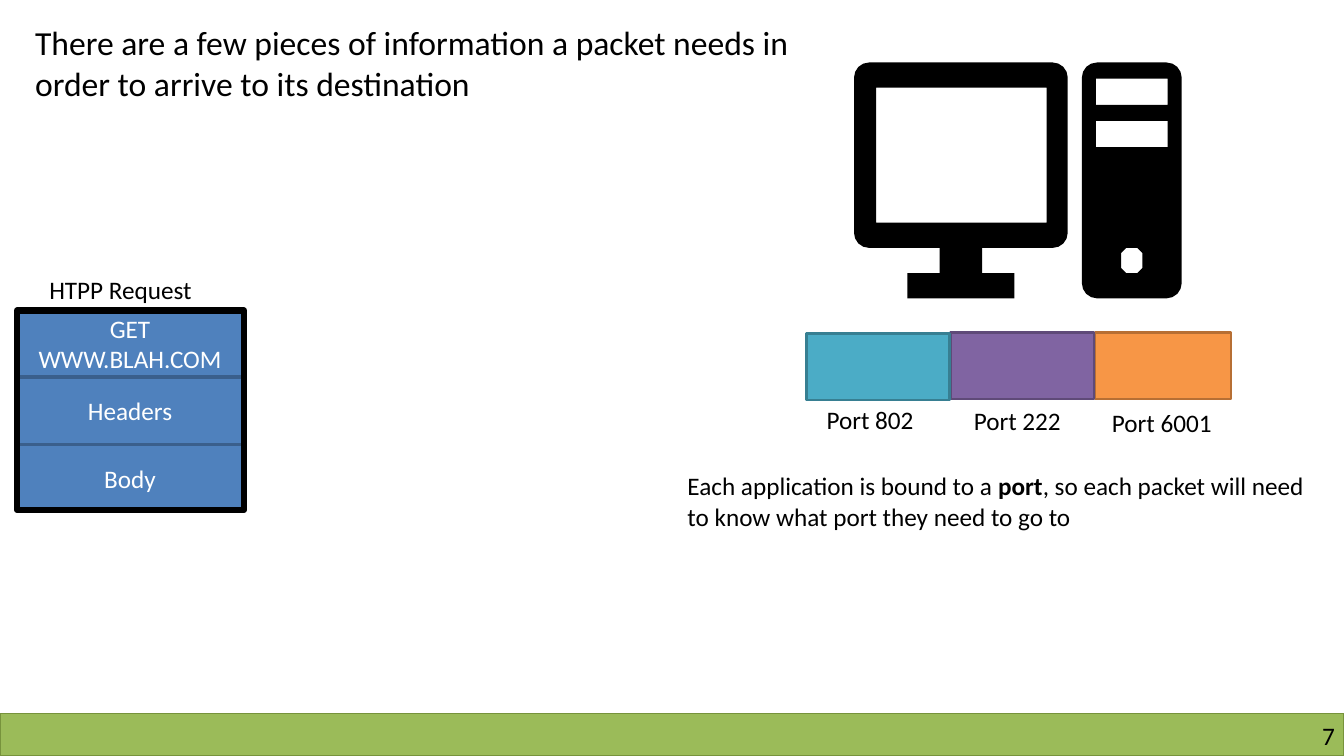
from math import cos, pi, sin

from pptx import Presentation
from pptx.dml.color import RGBColor
from pptx.enum.shapes import MSO_SHAPE as Shape
from pptx.enum.text import MSO_ANCHOR as Anchor, MSO_AUTO_SIZE as AutoSize, PP_ALIGN as Align
from pptx.util import Inches, Pt

COLORS = {
    "black": "000000",
    "white": "FFFFFF",
    "green": "9BBB59",
    "green_edge": "77933C",
    "blue": "4F81BD",
    "blue_edge": "3A5F8C",
    "orange": "F79646",
    "orange_edge": "B76F34",
    "purple": "8064A2",
    "purple_edge": "5F4A78",
    "teal": "4BACC6",
    "teal_edge": "377F92",
}


def square(left, top, right, bottom):
    return [(left, top), (right, top), (right, bottom), (left, bottom)]


def rounded(left, top, right, bottom, radius, steps, underside=()):
    centers = square(left + radius, top + radius, right - radius, bottom - radius)
    points = []
    for corner, (x, y) in enumerate(centers):
        if corner == 3:
            points.extend(underside)
        for step in range(steps + 1):
            angle = pi + (corner + step / steps) * pi / 2
            points.append((x + radius * cos(angle), y + radius * sin(angle)))
    return points


class SlideBuilder:
    font = "Calibri"

    def __init__(self, slide):
        self.shapes = slide.shapes

    def color(self, name):
        return RGBColor.from_string(COLORS[name])

    def style_runs(self, paragraph, size, color):
        for run in paragraph.runs:
            run.font.name = self.font
            run.font.size = Pt(size)
            run.font.color.rgb = self.color(color)

    def box(self, left, top, width, height, fill, edge, weight, label=None):
        box = self.shapes.add_shape(
            Shape.RECTANGLE, Inches(left), Inches(top), Inches(width), Inches(height))
        box.shadow.inherit = False
        if fill:
            box.fill.solid()
            box.fill.fore_color.rgb = self.color(fill)
        else:
            box.fill.background()
        box.line.color.rgb = self.color(edge)
        box.line.width = Pt(weight)
        if label:
            frame = box.text_frame
            frame.text = label
            frame.word_wrap = True
            frame.vertical_anchor = Anchor.MIDDLE
            frame.paragraphs[0].alignment = Align.CENTER
            self.style_runs(frame.paragraphs[0], 18, "white")

    def text(self, left, top, width, height, *parts, size=18, bold=None,
             wrap=True, align=Align.LEFT, inset=True):
        frame = self.shapes.add_textbox(
            Inches(left), Inches(top), Inches(width), Inches(height)).text_frame
        frame.word_wrap = wrap
        frame.auto_size = AutoSize.SHAPE_TO_FIT_TEXT
        if not inset:
            frame.margin_left = frame.margin_right = 0
            frame.margin_top = frame.margin_bottom = 0
        frame.text = parts[0]
        paragraph = frame.paragraphs[0]
        paragraph.alignment = align
        for part in parts[1:]:
            paragraph.add_run().text = part
        self.style_runs(paragraph, size, "black")
        if bold is not None:
            paragraph.runs[bold].font.bold = True

    def outline(self, contours, fill):
        builder = None
        for contour in contours:
            start, *rest = [(Inches(x), Inches(y)) for x, y in contour]
            if builder is None:
                builder = self.shapes.build_freeform(*start)
            else:
                builder.move_to(*start)
            builder.add_line_segments(rest, close=True)
        figure = builder.convert_to_shape()
        figure.shadow.inherit = False
        figure.fill.solid()
        figure.fill.fore_color.rgb = self.color(fill)
        figure.line.fill.background()


def main():
    deck = Presentation()
    deck.slide_width = Inches(13.33)
    deck.slide_height = Inches(7.5)
    page = SlideBuilder(deck.slides.add_slide(deck.slide_layouts[6]))

    page.box(0, 7.08, 13.33, 0.42, "green", "green_edge", 1)
    page.text(10.17, 7.15, 3.07, 0.3, "7", align=Align.RIGHT, inset=False)
    page.text(0.25, 0.17, 7.83, 0.91,
              "There are a few pieces of information a packet needs in "
              "order to arrive to its destination", size=24)

    for row, part in enumerate(["GET WWW.BLAH.COM", "Headers", "Body"]):
        page.box(0.17, 3.08 + row * 2 / 3, 2.24, 0.66, "blue", "blue_edge", 2, part)
    page.box(0.17, 3.08, 2.25, 1.98, None, "black", 4.5)
    page.text(0.39, 2.67, 1.88, 0.4, "HTPP Request", wrap=False)

    page.text(6.72, 4.62, 6.49, 0.71, "Each application is bound to a ", "port",
              ", so each packet will need to know what port they need to go to", bold=1)

    ports = [
        ("orange", 10.86, 3.3, 1.35),
        ("purple", 9.43, 3.3, 1.42),
        ("teal", 8, 3.31, 1.42),
    ]
    for hue, left, top, width in ports:
        page.box(left, top, width, 0.66, hue, hue + "_edge", 2)

    port_names = [
        ("Port 802", 8.1, 3.96, 1.16),
        ("Port 222", 9.56, 3.97, 1.16),
        ("Port 6001", 10.93, 3.99, 1.3),
    ]
    for name, left, top, width in port_names:
        page.text(left, top, width, 0.4, name, wrap=False)

    stand = [(9.74, 2.46), (9.74, 2.71), (10.06, 2.71), (10.06, 2.96),
             (9, 2.96), (9, 2.71), (9.32, 2.71), (9.32, 2.46)]
    monitor = rounded(8.47, 0.62, 10.59, 2.46, 0.15, 4, stand)
    screen = square(8.69, 0.87, 10.38, 2.21)
    tower = rounded(10.73, 0.62, 11.72, 2.96, 0.15, 4)
    drives = [square(10.87, top, 11.58, top + 0.26) for top in (0.78, 1.2)]
    power_button = rounded(11.12, 2.46, 11.33, 2.71, 0.05, 1)
    page.outline([monitor, screen, tower, *drives, power_button], "black")

    deck.save("out.pptx")


if __name__ == "__main__":
    main()
